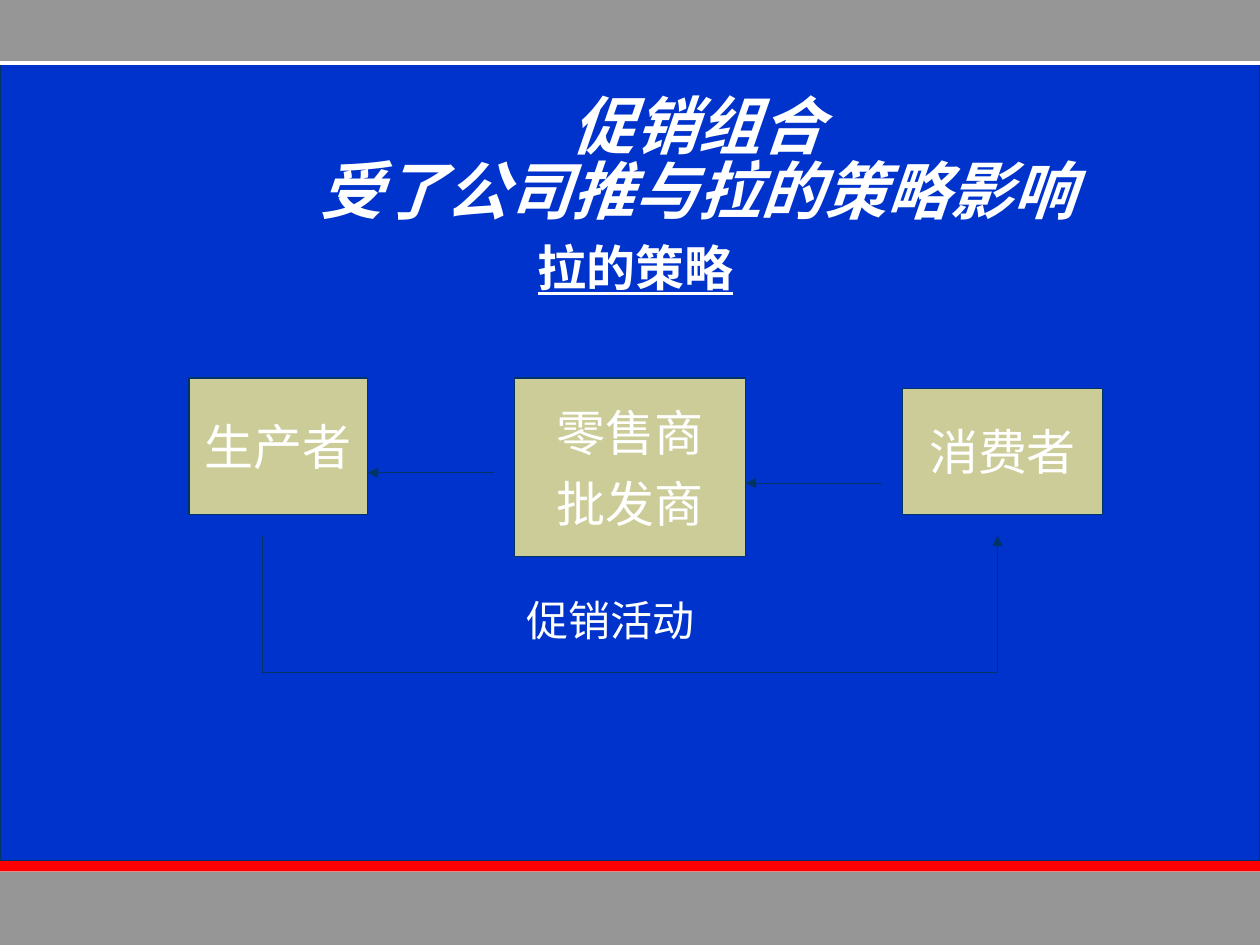
"""Build the pull strategy slide of the promotion mix."""
import dataclasses

import pptx
import pptx.dml.color
import pptx.enum.shapes
import pptx.enum.text
import pptx.oxml.ns
import pptx.util
from lxml import etree

Cm = pptx.util.Cm
Pt = pptx.util.Pt
ALIGN = pptx.enum.text.PP_ALIGN
ANCHOR = pptx.enum.text.MSO_ANCHOR


@dataclasses.dataclass(frozen=True)
class Theme:
    """Colours, font and type sizes of the slide."""
    field: str = "0033CC"
    band: str = "969696"
    stripe: str = "FF0000"
    box: str = "CCCC99"
    outline: str = "003366"
    text: str = "FFFFFF"
    font: str = "Times New Roman"
    title: int = 36
    label: int = 28
    note: int = 24


THEME = Theme()


def rgb(code):
    """Turn a hex code into a colour."""
    return pptx.dml.color.RGBColor.from_string(code)


def add_rect(s, x, y, w, h, fill, line=None):
    """Add a flat rectangle, outlined when a line colour is given."""
    sp = s.shapes.add_shape(pptx.enum.shapes.MSO_SHAPE.RECTANGLE, Cm(x), Cm(y), Cm(w), Cm(h))
    sp.shadow.inherit = False
    sp.fill.solid()
    sp.fill.fore_color.rgb = rgb(fill)
    if line:
        sp.line.color.rgb = rgb(line)
        sp.line.width = Pt(0.75)
    else:
        sp.line.fill.background()
    return sp


def write(sp, text, size, align=ALIGN.CENTER, anchor=ANCHOR.MIDDLE, wrap=True,
          bold=False, italic=False, underline=False, spacing=None):
    """Put formatted text into a shape."""
    tf = sp.text_frame
    tf.text = text
    tf.word_wrap = wrap
    tf.vertical_anchor = anchor
    for i, p in enumerate(tf.paragraphs):
        p.alignment = align
        if spacing:
            p.line_spacing = spacing
        if i:
            p.space_before = Pt(7)
        for r in p.runs:
            r.font.name = THEME.font
            r.font.size = Pt(size)
            r.font.color.rgb = rgb(THEME.text)
            r.font.bold = bold
            r.font.italic = italic
            r.font.underline = underline


def add_text(s, x, y, w, h, text, size, **style):
    """Add a text box."""
    sp = s.shapes.add_textbox(Cm(x), Cm(y), Cm(w), Cm(h))
    write(sp, text, size, **style)


def add_box(s, x, y, w, h, text):
    """Add one party of the distribution channel."""
    sp = add_rect(s, x, y, w, h, THEME.box, THEME.outline)
    write(sp, text, THEME.label, wrap=False)


def add_line(s, start, end, color=THEME.outline, width=0.75, arrow=False):
    """Add a straight line, with an arrowhead at its end if asked."""
    c = s.shapes.add_connector(pptx.enum.shapes.MSO_CONNECTOR.STRAIGHT,
                               *map(Cm, start), *map(Cm, end))
    c.line.color.rgb = rgb(color)
    c.line.width = Pt(width)
    qn = pptx.oxml.ns.qn
    if arrow:
        etree.SubElement(c.line._get_or_add_ln(), qn("a:tailEnd"), type="triangle")
    etree.SubElement(c._element.spPr, qn("a:effectLst"))


def add_backdrop(s):
    """Add the blue field with its grey bands and stripes."""
    add_rect(s, 0, 1.27, 25.4, 16.09, THEME.field, THEME.outline)
    add_rect(s, 0, 0, 25.4, 1.27, THEME.band)
    add_rect(s, 0, 17.57, 25.4, 1.48, THEME.band)
    add_rect(s, 0, 17.36, 25.4, 0.21, THEME.stripe)
    add_line(s, (0, 1.27), (25.4, 1.27), THEME.text, 2.25)


def add_channel(s):
    """Add the three parties and the arrows between them."""
    add_box(s, 3.81, 7.62, 3.6, 2.75, "生产者")
    add_box(s, 10.37, 7.62, 4.66, 3.6, "零售商\n批发商")
    add_box(s, 18.2, 7.83, 4.02, 2.54, "消费者")
    add_line(s, (17.78, 9.74), (15.03, 9.74), arrow=True)
    add_line(s, (9.95, 9.53), (7.41, 9.53), arrow=True)
    route = [(5.29, 10.8), (5.29, 13.55), (20.11, 13.55), (20.11, 10.8)]
    for start, end in zip(route, route[1:]):
        add_line(s, start, end, arrow=end == route[-1])


def main():
    """Build and save the slide."""
    prs = pptx.Presentation()
    prs.slide_width, prs.slide_height = Cm(25.4), Cm(19.05)
    s = prs.slides.add_slide(prs.slide_layouts[6])
    add_backdrop(s)
    add_text(s, 3.81, 1.69, 20.5, 3.18, "促销组合\v受了公司推与拉的策略影响",
             THEME.title, bold=True, italic=True, spacing=0.85)
    add_channel(s)
    add_text(s, 9.53, 4.66, 6.56, 1.45, "拉的策略", THEME.label,
             anchor=ANCHOR.TOP, bold=True, underline=True)
    add_text(s, 10.37, 11.85, 5.08, 1.27, "促销活动", THEME.note,
             align=ALIGN.LEFT, anchor=ANCHOR.TOP)
    prs.save("out.pptx")


if __name__ == "__main__":
    main()
